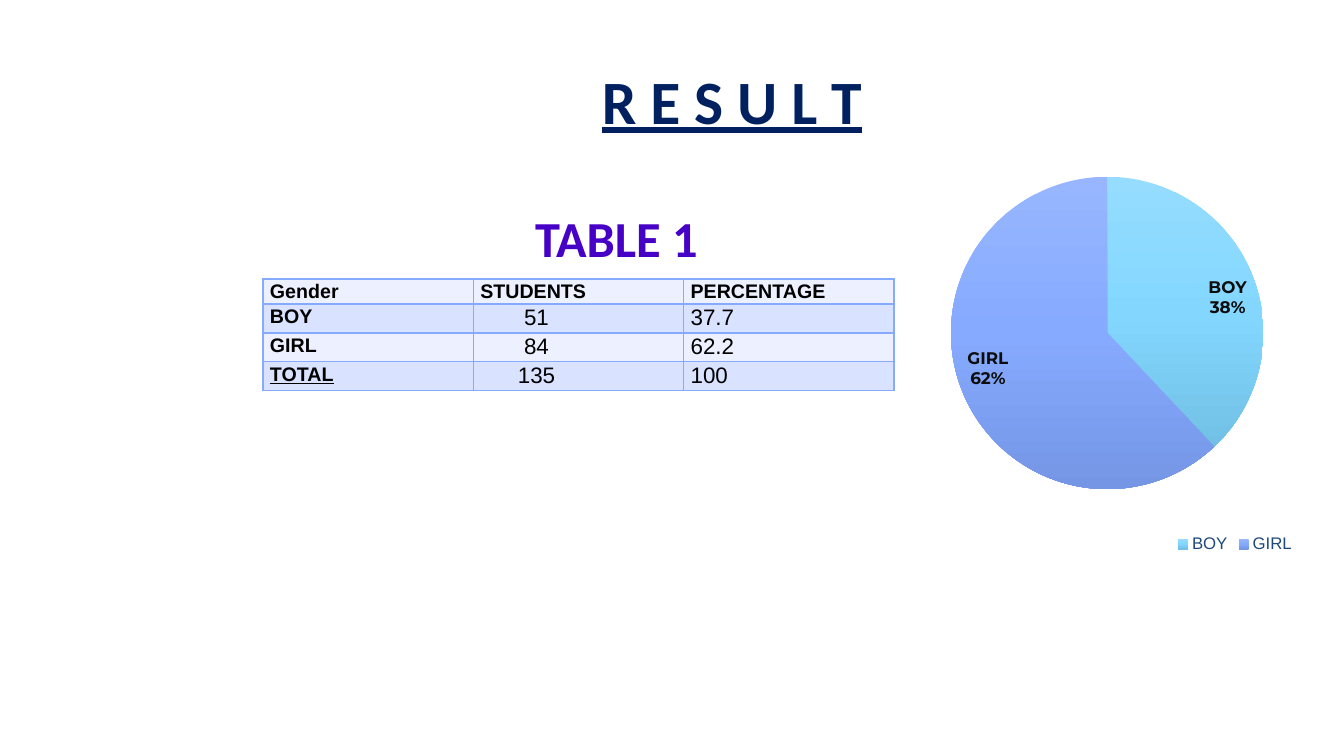
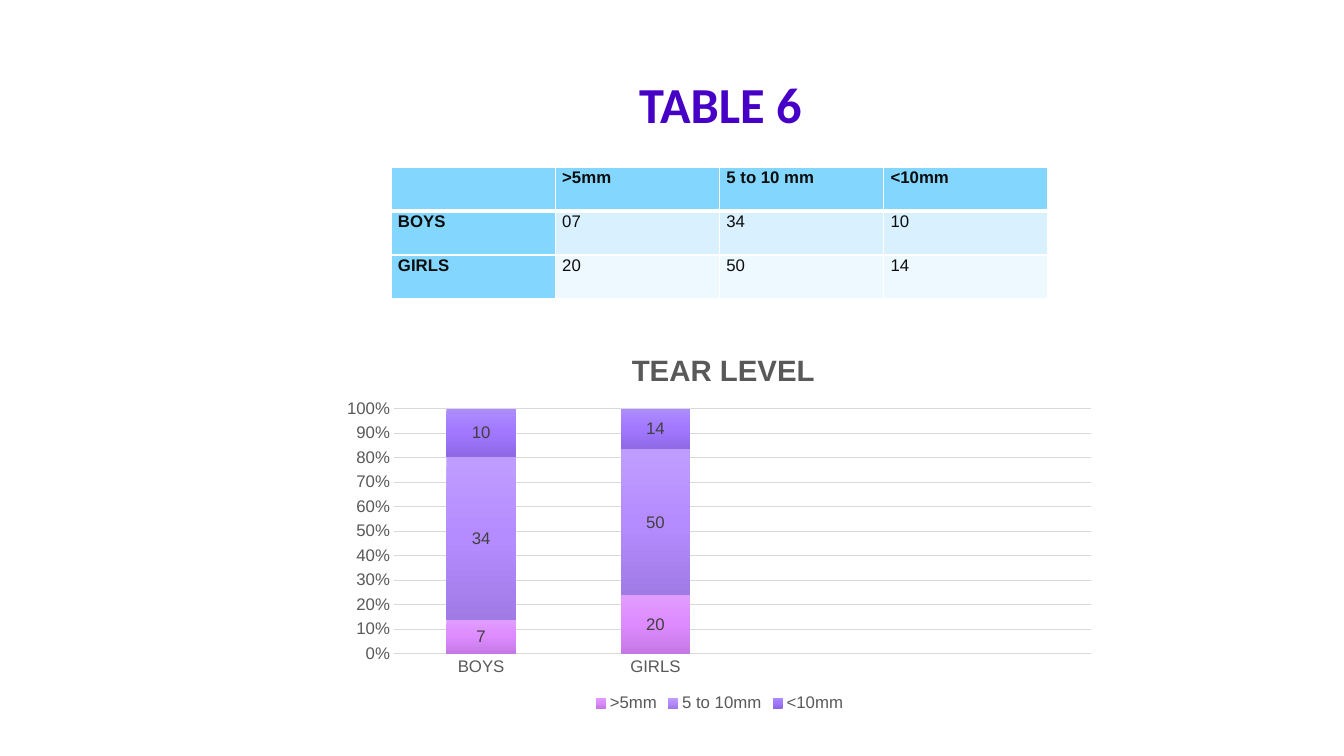
from copy import deepcopy
from dataclasses import dataclass

from lxml import etree
from pptx import Presentation
from pptx.chart.data import CategoryChartData
from pptx.dml.color import RGBColor
from pptx.enum.chart import (XL_CHART_TYPE, XL_LABEL_POSITION,
                             XL_LEGEND_POSITION, XL_TICK_MARK)
from pptx.enum.text import MSO_ANCHOR, MSO_AUTO_SIZE, PP_ALIGN
from pptx.oxml.ns import qn
from pptx.util import Emu, Pt

PIE = XL_CHART_TYPE.PIE
STACK = XL_CHART_TYPE.COLUMN_STACKED_100
INSIDE = XL_LABEL_POSITION.INSIDE_END
MIDST = XL_LABEL_POSITION.CENTER
BOTTOM = XL_LEGEND_POSITION.BOTTOM
NO_TICK = XL_TICK_MARK.NONE
MIDDLE = MSO_ANCHOR.MIDDLE
NO_FIT = MSO_AUTO_SIZE.NONE
CENTER = PP_ALIGN.CENTER
LEFT = PP_ALIGN.LEFT

SCALE = 914400 / 100.8


@dataclass(frozen=True)
class Theme:
    head: str = "Calibri"
    body: str = "Arial"
    label: str = "Montserrat"
    navy: str = "002060"
    violet: str = "4600C6"
    black: str = "000000"
    ink: str = "0D0D0D"
    gray: str = "595959"
    dark: str = "404040"
    blue: str = "1F497D"
    rule: str = "D9D9D9"
    big: int = 44
    mid: int = 36
    chart: int = 21
    small: int = 12
    sky: tuple = ("95DCFF", "83D7FF", "72C0E5")
    peri: tuple = ("98B6FF", "86AAFF", "7596E5")
    pink: tuple = ("E19CFF", "DD8BFF", "C579E5")
    lilac: tuple = ("BF9DFF", "B58CFF", "A07AE5")
    purple: tuple = ("AD8CFF", "A178FF", "8E68E5")


@dataclass(frozen=True)
class Look:
    fills: tuple
    color: str
    line: str
    sizes: tuple
    rule: int = 1


T = Theme()
PALE = Look((("EDF1FF", "EDF1FF"), ("D9E2FF", "D9E2FF")),
            T.black, "86AAFF", (14, 16))
BRIGHT = Look((("83D7FF", "EDF8FF"), ("83D7FF", "D9F0FF")),
              T.ink, "FFFFFF", (12, 12), 3)


def px(n):
    return Emu(round(n * SCALE))


def place(box):
    return [px(n) for n in box]


def style(font, size, color, name=T.body, bold=False):
    font.size = Pt(size)
    font.color.rgb = RGBColor.from_string(color)
    font.name = name
    font.bold = bold


def banner(shape, text, size, color):
    frame = shape.text_frame
    frame.word_wrap = True
    frame.auto_size = NO_FIT
    frame.vertical_anchor = MIDDLE
    para = frame.paragraphs[0]
    para.text = text
    para.alignment = CENTER
    style(para.font, size, color, T.head, True)
    return para


def title(slide, box, text, size, color):
    shape = slide.shapes.title
    shape.left, shape.top, shape.width, shape.height = place(box)
    return banner(shape, text, size, color)


def edge(cell, color, widths):
    props = cell._tc.get_or_add_tcPr()
    for i, (side, width) in enumerate(zip("LRTB", widths)):
        line = etree.Element(qn("a:ln" + side), w=str(Pt(width)))
        fill = etree.SubElement(line, qn("a:solidFill"))
        etree.SubElement(fill, qn("a:srgbClr"), val=color)
        props.insert(i, line)


def grid(slide, box, rows, heights, look):
    wide = len(rows[0])
    table = slide.shapes.add_table(len(rows), wide, *place(box)).table
    table.first_row = table.horz_banding = False
    for col in table.columns:
        col.width = px(box[2] / wide)
    for r, (row, high) in enumerate(zip(rows, heights)):
        table.rows[r].height = px(high)
        top = look.rule if r == 1 else 1
        base = look.rule if r == 0 else 1
        for c, text in enumerate(row):
            cell = table.cell(r, c)
            head = r == 0 or c == 0
            cell.margin_left = cell.margin_right = px(7)
            cell.margin_top = cell.margin_bottom = 0
            cell.fill.solid()
            shade = look.fills[r % 2][0 if head else 1]
            cell.fill.fore_color.rgb = RGBColor.from_string(shade)
            edge(cell, look.line, (1, 1, top, base))
            para = cell.text_frame.paragraphs[0]
            para.text = text
            para.alignment = LEFT
            para.line_spacing = 1.07
            size = look.sizes[0 if head else 1]
            style(para.font, size, look.color, bold=head)
    return table


def blend(fill, colors):
    fill.gradient()
    fill.gradient_angle = 270
    first = fill.gradient_stops[0]._gs
    first.addnext(deepcopy(first))
    for i, (stop, color) in enumerate(zip(fill.gradient_stops, colors)):
        stop.position = i / 2
        stop.color.rgb = RGBColor.from_string(color)


def layout(owner, **parts):
    node = owner.find(qn("c:layout"))
    if node is None:
        node = etree.Element(qn("c:layout"))
        owner.insert(0, node)
    man = etree.SubElement(node, qn("c:manualLayout"))
    if "w" in parts:
        etree.SubElement(man, qn("c:layoutTarget"), val="inner")
    for key in "xy":
        etree.SubElement(man, qn(f"c:{key}Mode"), val="edge")
    for key, val in parts.items():
        etree.SubElement(man, qn("c:" + key), val=str(val))


def graph(slide, kind, box, cats, series, color):
    data = CategoryChartData()
    data.categories = cats
    for name, vals in series:
        data.add_series(name, vals)
    chart = slide.shapes.add_chart(kind, *place(box), data).chart
    style(chart.font, T.small, T.black)
    chart.has_title = False
    chart.has_legend = True
    chart.legend.position = BOTTOM
    chart.legend.include_in_layout = False
    style(chart.legend.font, T.small, color)
    return chart


def pie(slide, box):
    chart = graph(slide, PIE, box, ["BOY", "GIRL"],
                  [("Series 1", (38, 62))], T.blue)
    plot = chart.plots[0]
    plot.vary_by_categories = True
    part = plot.series[0]
    for i, colors in enumerate((T.sky, T.peri)):
        blend(part.points[i].format.fill, colors)
    tags = part.data_labels
    tags.show_value = False
    tags.show_category_name = tags.show_percentage = True
    tags.position = INSIDE
    style(tags.font, T.small, T.ink, T.label, True)
    gap = etree.Element(qn("c:separator"))
    gap.text = "\n"
    tags._element.find(qn("c:showBubbleSize")).addnext(gap)
    area = chart._chartSpace.chart.plotArea
    layout(area, x=0, y=0.09, w=0.55, h=0.82)


def stack(slide, box):
    rows = [(">5mm", (7, 20, None, None)),
            ("5 to 10mm", (34, 50, None, None)),
            ("<10mm", (10, 14, None, None))]
    chart = graph(slide, STACK, box, ["BOYS", "GIRLS", "", ""], rows, T.gray)
    plot = chart.plots[0]
    plot.vary_by_categories = False
    plot.gap_width = 150
    plot.overlap = 100
    for part, colors in zip(plot.series, (T.pink, T.lilac, T.purple)):
        blend(part.format.fill, colors)
        tags = part.data_labels
        tags.show_value = True
        tags.position = MIDST
        style(tags.font, T.small, T.dark)
    rule = RGBColor.from_string(T.rule)
    for axis in (chart.category_axis, chart.value_axis):
        axis.major_tick_mark = axis.minor_tick_mark = NO_TICK
        style(axis.tick_labels.font, T.small, T.gray)
    line = chart.category_axis.format.line
    line.color.rgb = rule
    line.width = Pt(1)
    axis = chart.value_axis
    axis.format.line.fill.background()
    axis.tick_labels.number_format = "0%"
    axis.tick_labels.number_format_is_linked = False
    line = axis.major_gridlines.format.line
    line.color.rgb = rule
    line.width = Pt(0.75)
    chart.has_title = True
    para = chart.chart_title.text_frame.paragraphs[0]
    para.text = "TEAR LEVEL"
    style(para.font, T.chart, T.gray, bold=True)
    layout(chart.chart_title._element, x=0.38, y=0.05)
    area = chart._chartSpace.chart.plotArea
    layout(area, x=0.08, y=0.21, w=0.9, h=0.63)


def result(slide):
    para = title(slide, (176, 57, 1112, 85), "R E S U L T", T.big, T.navy)
    para.font.underline = True
    rows = [("Gender", "STUDENTS", "PERCENTAGE"), ("BOY", "51", "37.7"),
            ("GIRL", "84", "62.2"), ("TOTAL", "135", "100")]
    table = grid(slide, (263, 279, 631, 112), rows, (25, 29, 29, 29), PALE)
    for r in range(1, len(rows)):
        cell = table.cell(r, 1)
        cell.margin_right = px(91)
        cell.text_frame.paragraphs[0].alignment = CENTER
    table.cell(3, 0).text_frame.paragraphs[0].font.underline = True
    pie(slide, (951, 109, 568, 448))
    box = slide.shapes.add_textbox(*place((263, 201, 707, 72)))
    banner(box, "TABLE 1", T.mid, T.violet)


def tears(slide):
    title(slide, (367, 67, 707, 72), "TABLE 6", T.mid, T.violet)
    stack(slide, (332, 327, 775, 389))
    rows = [("", ">5mm", "5 to 10 mm", "<10mm"),
            ("BOYS", "07", "34", "10"), ("GIRLS", "20", "50", "14")]
    grid(slide, (391, 167, 657, 132), rows, (44, 44, 44), BRIGHT)


def main():
    deck = Presentation()
    deck.slide_width, deck.slide_height = px(1344), px(756)
    for build in (result, tears):
        build(deck.slides.add_slide(deck.slide_layouts[5]))
    deck.save("out.pptx")


if __name__ == "__main__":
    main()
